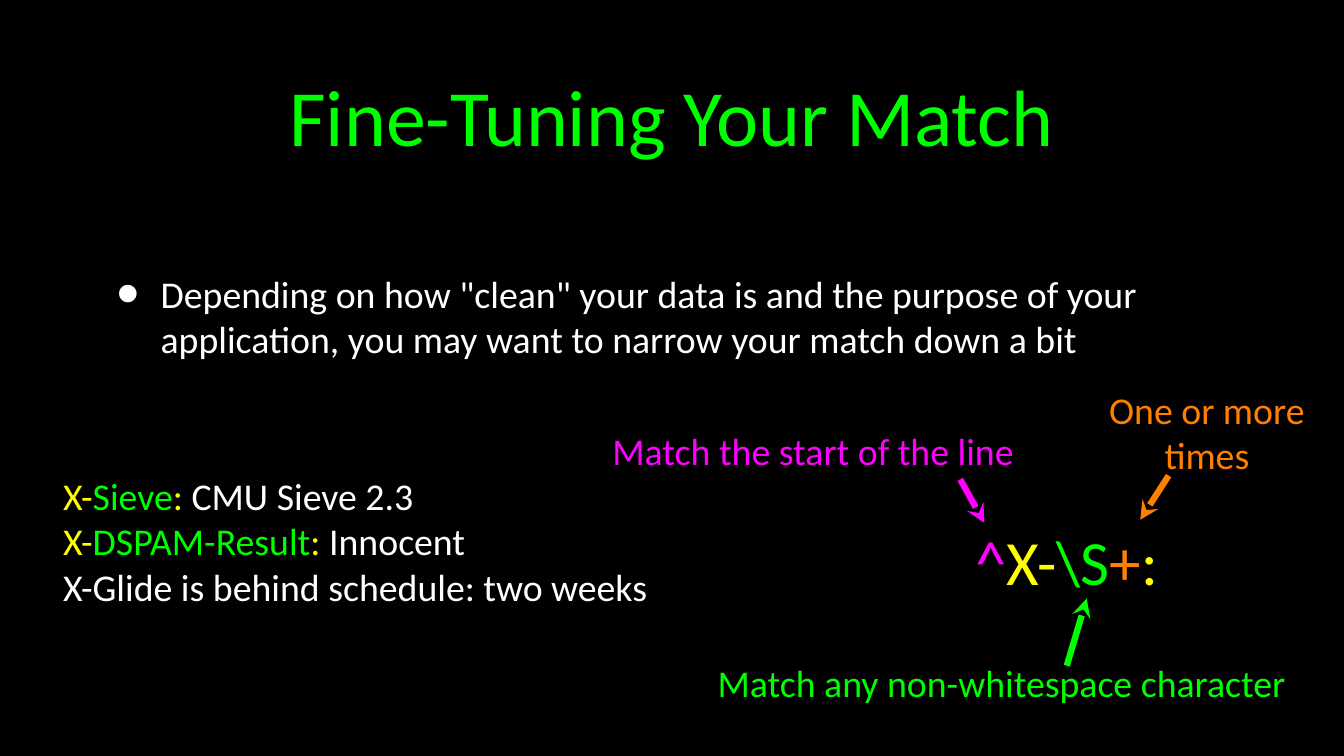
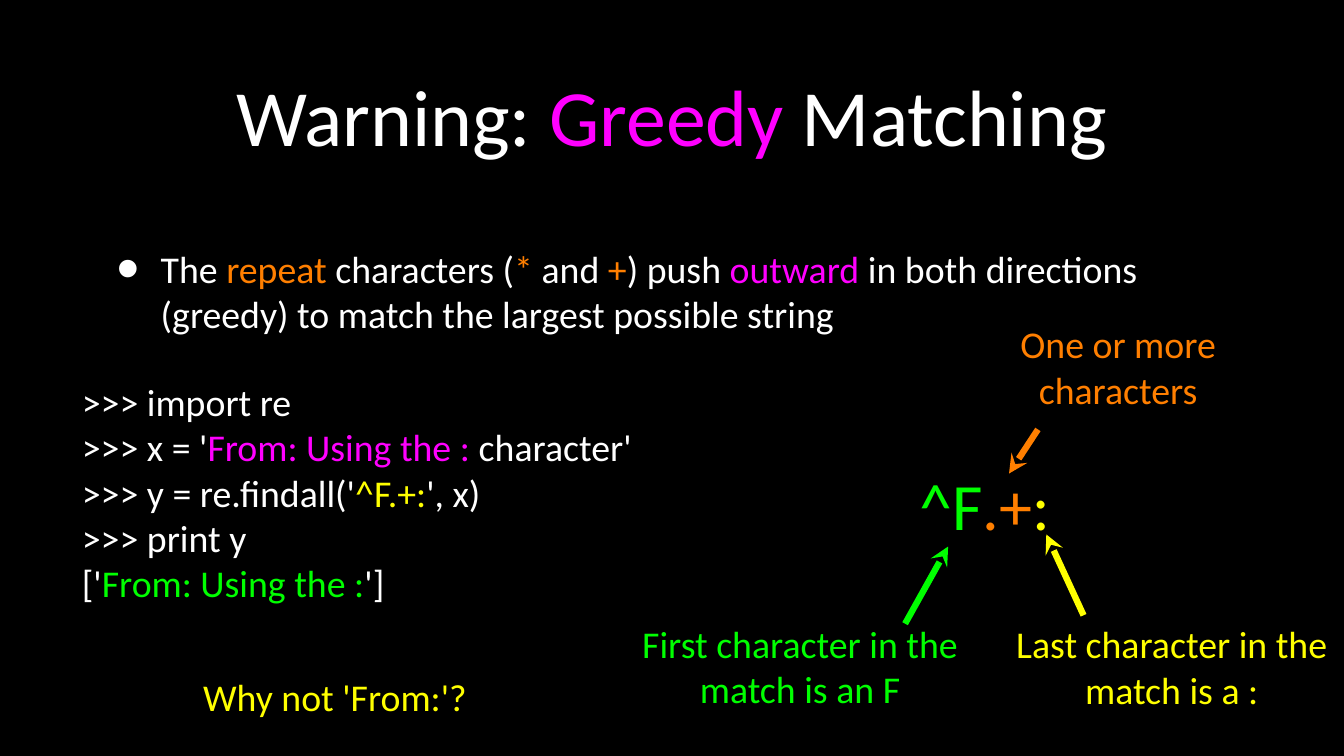
from lxml.etree import SubElement
from pptx import Presentation
from pptx.dml.color import RGBColor
from pptx.enum.shapes import MSO_CONNECTOR
from pptx.enum.text import MSO_ANCHOR, MSO_AUTO_SIZE, PP_ALIGN
from pptx.oxml.ns import qn
from pptx.util import Pt

INK = {"black": "000000", "white": "FFFFFF", "green": "00FF00",
       "yellow": "FFFF00", "pink": "FF00FF", "orange": "FF7F00"}
FONT = "Calibri"
LEFT, CENTER = PP_ALIGN.LEFT, PP_ALIGN.CENTER
TITLE = (91, 19, 1097, 181)

# Content: a line is a list of (text, colour) runs; boxes are left, top,
# width, height; arrows run from tail to tip.
SLIDES = [
    {
        "title": [("Fine-Tuning Your Match", "green")],
        "body": [("Depending on how \"clean\" your data is and the purpose of "
                  "your application, you may want to narrow your match down "
                  "a bit", "white")],
        "depth": 192,
        "notes": [
            ((60, 450, 647, 130), 36, LEFT, [
                [("X-", "yellow"), ("Sieve", "green"), (": ", "yellow"),
                 ("CMU Sieve 2.3", "white")],
                [("X-", "yellow"), ("DSPAM-Result", "green"),
                 (": ", "yellow"), ("Innocent", "white")],
                [("X-Glide is behind schedule: two weeks", "white")]]),
            ((919, 497.5, 194, 72), 60, CENTER, [
                [("^", "pink"), ("X-", "yellow"), ("\\S", "green"),
                 ("+", "orange"), (":", "yellow")]]),
            ((556, 407.5, 437, 43), 36, CENTER,
             [[("Match the start of the line", "pink")]]),
            ((664, 625, 580, 49), 36, CENTER,
             [[("Match any non-whitespace character", "green")]]),
            ((1029, 366.5, 241, 90), 36, CENTER,
             [[("One or more times", "orange")]]),
        ],
        "arrows": [((1016, 634), (1035, 570), "green"),
                   ((1113, 453), (1086, 495), "orange"),
                   ((914.5, 456.5), (937.5, 498), "pink")],
    },
    {
        "title": [("Warning: ", "white"), ("Greedy", "pink"),
                  (" Matching", "white")],
        "body": [("The ", "white"), ("repeat", "orange"),
                 (" characters (", "white"), ("*", "orange"),
                 (" and ", "white"), ("+", "orange"), (") push ", "white"),
                 ("outward", "pink"),
                 (" in both directions (greedy) to match the largest "
                  "possible string", "white")],
        "depth": 144,
        "notes": [
            ((78, 362, 790, 213), 36, LEFT, [
                [(">>> import re", "white")],
                [(">>> x = '", "white"), ("From: Using the :", "pink"),
                 (" character'", "white")],
                [(">>> y = re.findall('", "white"), ("^F.+:", "yellow"),
                 ("', x)", "white")],
                [(">>> print y", "white")],
                [("['", "white"), ("From: Using the :", "green"),
                 ("']", "white")]]),
            ((875.5, 442, 139, 76), 63, LEFT,
             [[("^F", "green"), (".+", "orange"), (":", "yellow")]]),
            ((937.5, 304, 255, 90), 36, CENTER,
             [[("One or more characters", "orange")]]),
            ((598, 589, 328, 90), 36, CENTER,
             [[("First character in the match is an F", "green")]]),
            ((952, 589.5, 328, 90), 36, CENTER,
             [[("Last character in the match is a :", "yellow")]]),
            ((179, 641.5, 280, 43), 36, CENTER,
             [[("Why not 'From:'?", "yellow")]]),
        ],
        "arrows": [((988.5, 409), (961, 451), "orange"),
                   ((862, 594), (903, 520.5), "green"),
                   ((1032, 586), (996.5, 509), "yellow")],
    },
]


def hue(name):
    return RGBColor.from_string(INK[name])


def style(item, vals):
    for key, val in vals.items():
        setattr(item, key, val)


def place(shape, box):
    style(shape, dict(zip(("left", "top", "width", "height"), map(Pt, box))))


def dot(para):
    """Hang a large white bullet on a paragraph."""
    props = para._p.get_or_add_pPr()
    for key, val in {"marL": 59, "indent": -42}.items():
        props.set(key, str(int(Pt(val))))
    color = SubElement(props, qn("a:buClr"))
    SubElement(color, qn("a:srgbClr"), val=INK["white"])
    SubElement(props, qn("a:buSzPct"), val="171000")
    SubElement(props, qn("a:buChar"), char="•")


def write(shape, lines, size, align, inset=0, bullet=False):
    frame = shape.text_frame
    style(frame, {"word_wrap": True, "auto_size": MSO_AUTO_SIZE.NONE,
                  "vertical_anchor": MSO_ANCHOR.MIDDLE,
                  **{f"margin_{side}": Pt(inset)
                     for side in ("left", "top", "right", "bottom")}})
    for num, line in enumerate(lines):
        para = frame.add_paragraph() if num else frame.paragraphs[0]
        style(para, {"alignment": align, "space_before": Pt(0)})
        if bullet:
            dot(para)
        for text, color in line:
            run = para.add_run()
            run.text = text
            style(run.font, {"name": FONT, "size": Pt(size)})
            run.font.color.rgb = hue(color)


def arrow(slide, tail, tip, color):
    link = slide.shapes.add_connector(
        MSO_CONNECTOR.STRAIGHT, *map(Pt, tail + tip))
    link.line.width = Pt(6)
    link.line.color.rgb = hue(color)
    SubElement(link.line._get_or_add_ln(), qn("a:tailEnd"), type="stealth")
    SubElement(link._element.spPr, qn("a:effectLst"))


def build(deck, data):
    slide = deck.slides.add_slide(deck.slide_layouts[1])

    # Title and bullet
    title, body = slide.placeholders
    place(title, TITLE)
    write(title, [data["title"]], 76, CENTER, inset=3)
    place(body, (91, 205, 1097, data["depth"]))
    write(body, [data["body"]], 36, LEFT, inset=3, bullet=True)

    # Samples, pattern and labels
    for box, size, align, lines in data["notes"]:
        note = slide.shapes.add_textbox(*map(Pt, box))
        write(note, lines, size, align)

    # Pointers to the pattern
    for tail, tip, color in data["arrows"]:
        arrow(slide, tail, tip, color)


def main():
    deck = Presentation()
    style(deck, {"slide_width": Pt(1280), "slide_height": Pt(720)})
    fill = deck.slide_master.background.fill
    fill.solid()
    fill.fore_color.rgb = hue("black")
    for data in SLIDES:
        build(deck, data)
    deck.save("out.pptx")


if __name__ == "__main__":
    main()
